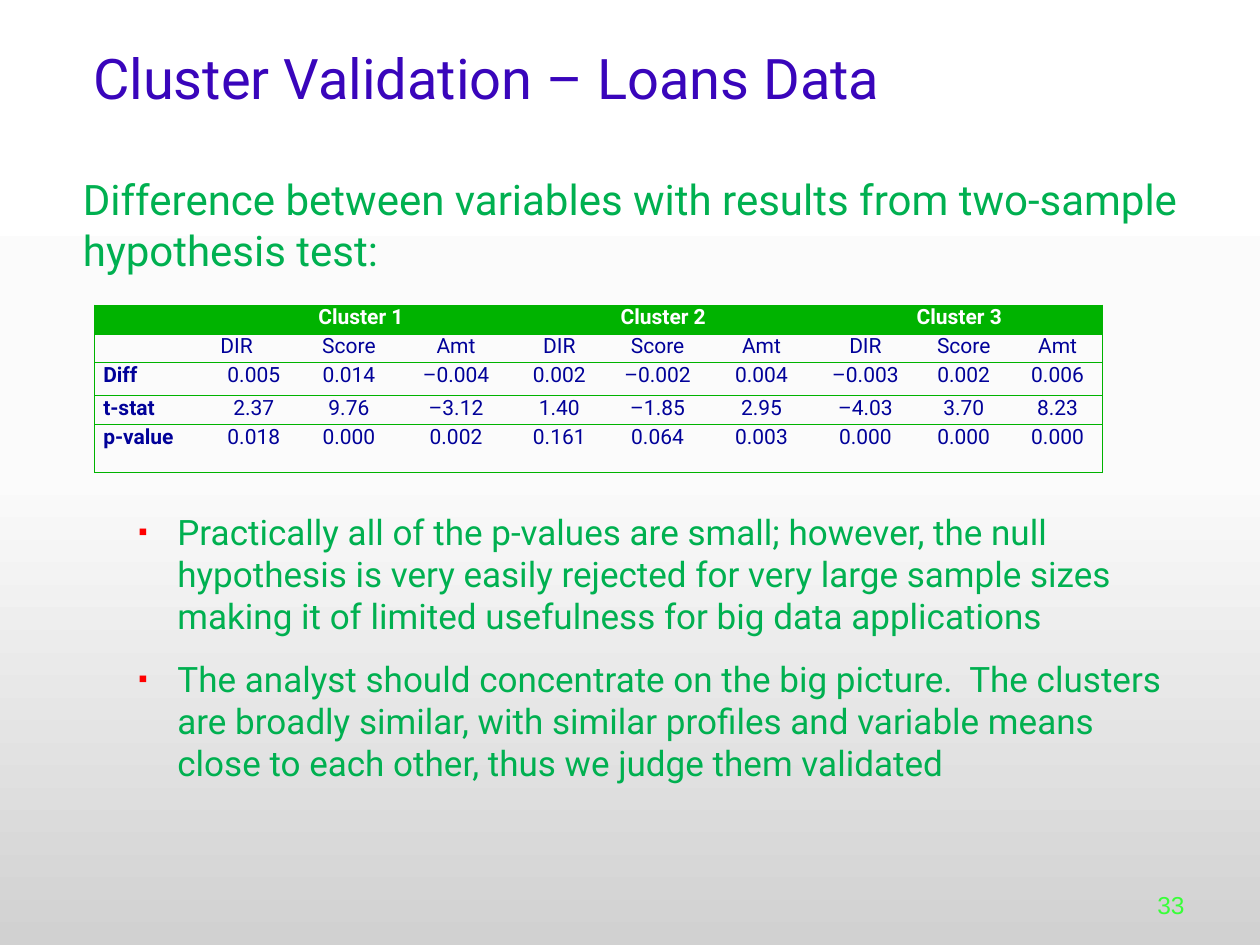
from copy import deepcopy
from lxml.etree import SubElement
from pptx import Presentation
from pptx.dml.color import RGBColor
from pptx.enum.text import MSO_ANCHOR, PP_ALIGN
from pptx.oxml.ns import qn
from pptx.util import Inches, Pt

HUES = {"title": "3905BB", "body": "00B050", "grid": "00B300", "cell": "010199",
        "head": "FFFFFF", "mark": "FF0000", "page": "38FF38"}
FADE = [(0, "FFFFFF"), (0.5, "FBFBFB"), (1, "D1D1D1")]
COLS = [0.93, 0.67, 0.84, 0.86, 0.78, 0.78, 0.87, 0.78, 0.78, 0.71]
ROWS = [0.23, 0.23, 0.26, 0.23, 0.38]
DATA = [
    ["", "Cluster 1", "", "", "Cluster 2", "", "", "Cluster 3", "", ""],
    [""] + ["DIR", "Score", "Amt"] * 3,
    ["Diff", "0.005", "0.014", "–0.004", "0.002", "–0.002", "0.004", "–0.003", "0.002", "0.006"],
    ["t-stat", "2.37", "9.76", "–3.12", "1.40", "–1.85", "2.95", "–4.03", "3.70", "8.23"],
    ["p-value", "0.018", "0.000", "0.002", "0.161", "0.064", "0.003", "0.000", "0.000", "0.000"],
]
NOTES = [
    "Practically all of the p-values are small; however, the null hypothesis is very easily "
    "rejected for very large sample sizes making it of limited usefulness for big data applications",
    "The analyst should concentrate on the big picture.  The clusters are broadly similar, with "
    "similar profiles and variable means close to each other, thus we judge them validated",
]


class Deck:
    """Holds the style and the current slide, and adds each kind of element."""

    def __init__(self, font="Roboto"):
        self.font = font
        self.prs = Presentation()
        self.prs.slide_width, self.prs.slide_height = Inches(10), Inches(7.5)
        self.slide = self.prs.slides.add_slide(self.prs.slide_layouts[6])

    def fade(self, stops):
        fill = self.slide.background.fill
        fill.gradient()
        fill.gradient_angle = 270
        grad = next(self.slide._element.iter(qn("a:gsLst")))
        grad.append(deepcopy(grad[-1]))
        for stop, (pos, hue) in zip(fill.gradient_stops, stops):
            stop.position = pos
            stop.color.rgb = RGBColor.from_string(hue)

    def run(self, para, text, size, hue, bold=False, font=None):
        run = para.add_run()
        run.text = text
        run.font.name = font or self.font
        run.font.size = Pt(size)
        run.font.bold = bold
        run.font.color.rgb = RGBColor.from_string(HUES[hue])

    def text(self, box, lines, size, hue, anchor=MSO_ANCHOR.TOP, align=PP_ALIGN.LEFT,
             left=0, mark=None, font=None):
        frame = self.slide.shapes.add_textbox(*map(Inches, box)).text_frame
        frame.word_wrap = True
        frame.vertical_anchor = anchor
        for i, line in enumerate(lines):
            para = frame.add_paragraph() if i else frame.paragraphs[0]
            para.alignment = align
            para.space_before = Pt(12 if i else 0)
            props = para._p.get_or_add_pPr()
            props.set("marL", str(Inches(left)))
            if mark:
                self.bullet(props, mark)
            self.run(para, line, size, hue, font=font)

    def bullet(self, props, mark):
        props.set("indent", str(-Inches(0.31)))
        tint = SubElement(props, qn("a:buClr"))
        SubElement(tint, qn("a:srgbClr"), val=HUES["mark"])
        SubElement(props, qn("a:buSzPct"), val="75000")
        SubElement(props, qn("a:buFont"), typeface="Arial")
        SubElement(props, qn("a:buChar"), char=mark)

    def edge(self, cell, sides):
        props = cell._tc.get_or_add_tcPr()
        for side in "LRTB":
            line = SubElement(props, qn("a:ln" + side), w=str(Pt(0.5)))
            if side in sides:
                fill = SubElement(line, qn("a:solidFill"))
                SubElement(fill, qn("a:srgbClr"), val=HUES["grid"])
            else:
                SubElement(line, qn("a:noFill"))

    def cell(self, cell, text, row, col):
        cell.margin_left = cell.margin_right = Inches(0.07)
        cell.margin_top = cell.margin_bottom = 0
        last = col == len(COLS) - 1 or (row, col) == (0, 7)
        self.edge(cell, "TB" + "L" * (col == 0) + "R" * last)
        if row:
            cell.fill.background()
        else:
            cell.fill.solid()
            cell.fill.fore_color.rgb = RGBColor.from_string(HUES["grid"])
        para = cell.text_frame.paragraphs[0]
        if not text:
            SubElement(para._p, qn("a:endParaRPr"), sz="1200")
            return
        plain = col == 0 or (row, col) == (1, 1)
        para.alignment = PP_ALIGN.LEFT if plain else PP_ALIGN.CENTER
        self.run(para, text, 12, "cell" if row else "head", row == 0 or col == 0)

    def table(self, left, top, data):
        size = Inches(sum(COLS)), Inches(sum(ROWS))
        table = self.slide.shapes.add_table(len(ROWS), len(COLS), Inches(left), Inches(top), *size).table
        table.first_row = table.horz_banding = False
        for col, wide in zip(table.columns, COLS):
            col.width = Inches(wide)
        for row, high in zip(table.rows, ROWS):
            row.height = Inches(high)
        for r, line in enumerate(data):
            for c, text in enumerate(line):
                self.cell(table.cell(r, c), text, r, c)
        for c in (1, 4, 7):
            table.cell(0, c).merge(table.cell(0, c + 2))


def main():
    deck = Deck()
    deck.fade(FADE)
    deck.text((9.08, 6.83, 0.42, 0.52), ["33"], 14, "page", MSO_ANCHOR.BOTTOM,
              PP_ALIGN.RIGHT, font="Arial")
    deck.text((0.5, 1.33, 9, 0.95),
              ["Difference between variables with results from two-sample hypothesis test:"],
              24, "body", left=0.06)
    deck.text((0.5, 4, 9, 2.58), NOTES, 20, "body", left=0.81, mark="▪")
    deck.text((0.14, -0.02, 10, 1.26), ["Cluster Validation – Loans Data"], 32, "title",
              MSO_ANCHOR.MIDDLE, left=0.5)
    deck.table(0.75, 2.42, DATA)
    deck.prs.save("out.pptx")


if __name__ == "__main__":
    main()
